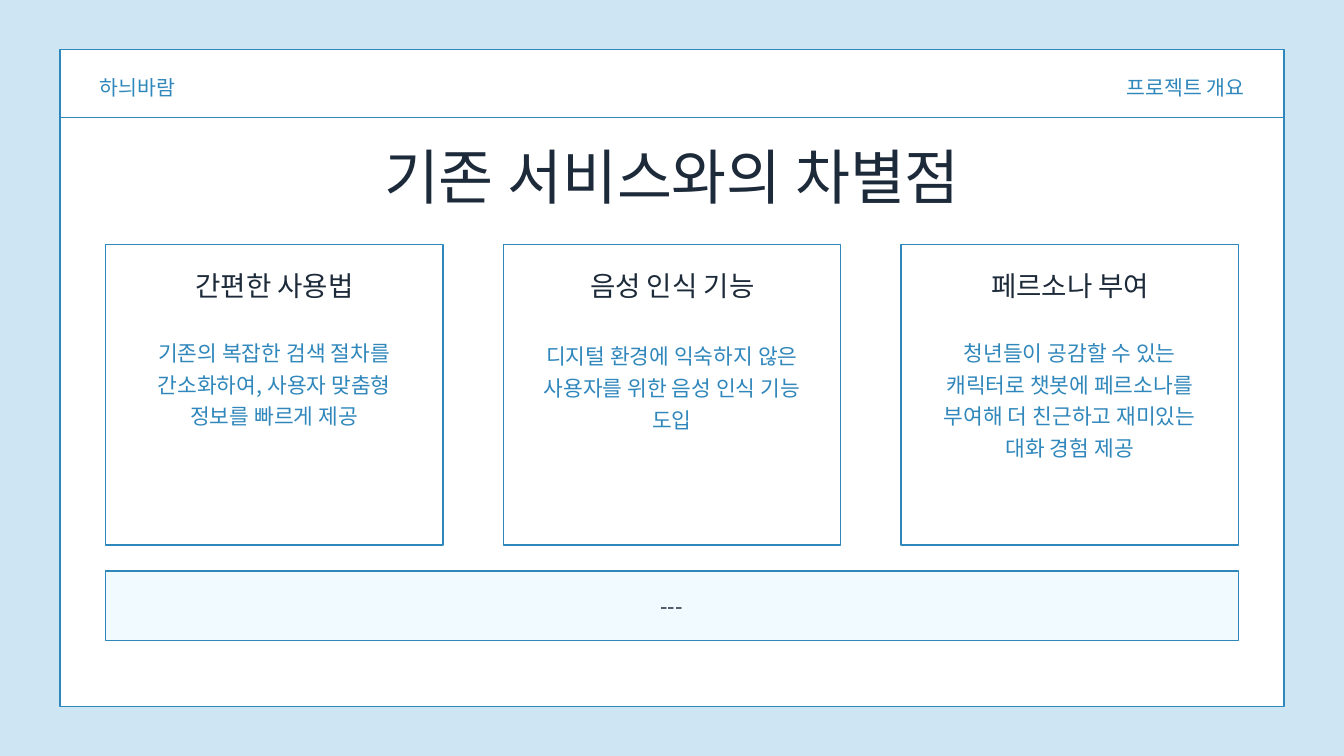
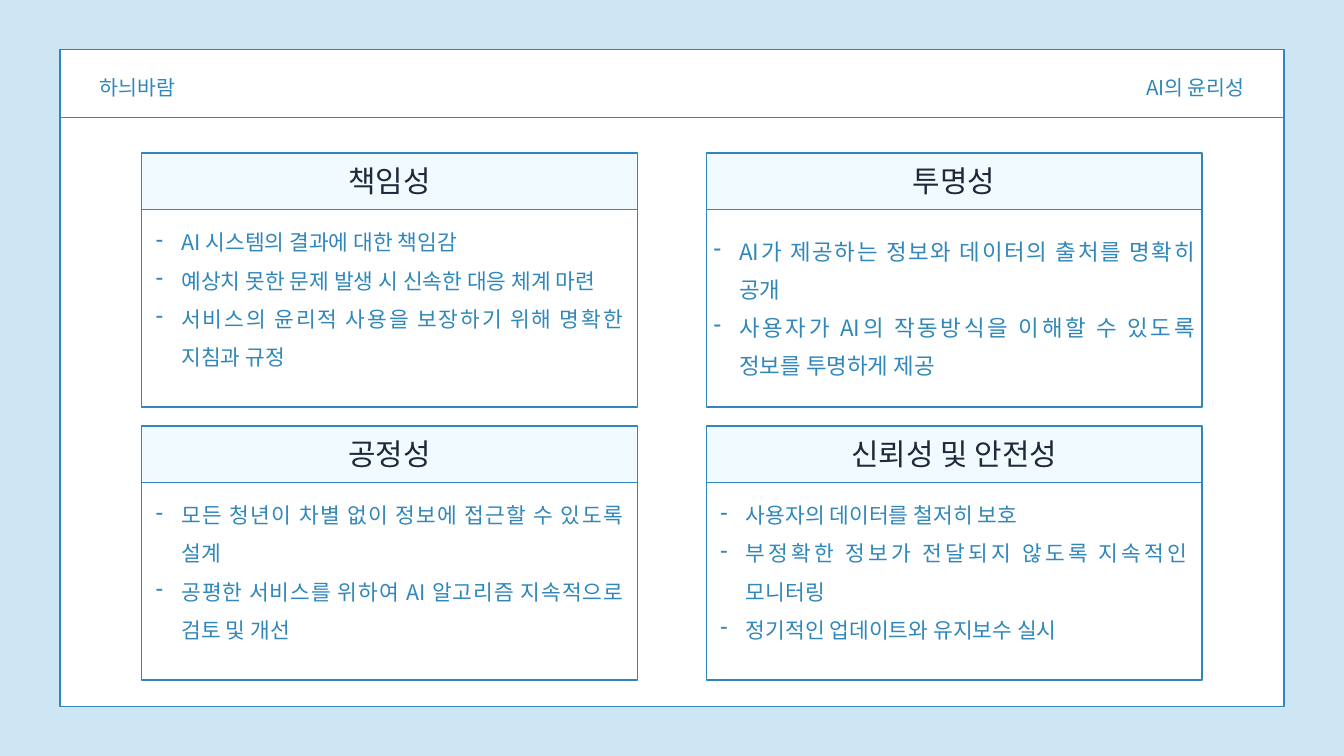
"""Build two slides on a chatbot service: its advantages and its AI ethics."""
from lxml.etree import SubElement
from pptx import Presentation
from pptx.dml.color import RGBColor
from pptx.enum.shapes import MSO_CONNECTOR, MSO_SHAPE
from pptx.enum.text import MSO_ANCHOR, MSO_AUTO_SIZE, PP_ALIGN
from pptx.oxml.ns import qn
from pptx.util import Inches, Pt

COLORS = {"sky": "CEE6F4", "white": "FFFFFF", "pale": "F1FAFF", "blue": "3087BB", "navy": "1D2A3A"}
FONT = "Noto Sans CJK KR"
BULLET_INDENT = Inches(0.38)


def add_panel(page, left, top, width, height, fill="white"):
    panel = page.shapes.add_shape(
        MSO_SHAPE.RECTANGLE, Inches(left), Inches(top), Inches(width), Inches(height))
    panel.shadow.inherit = False
    panel.fill.solid()
    panel.fill.fore_color.rgb = RGBColor.from_string(COLORS[fill])
    panel.line.color.rgb = RGBColor.from_string(COLORS["blue"])
    panel.line.width = Pt(1.5)


def add_text(page, place, lines, size, spacing, color="blue", align=PP_ALIGN.CENTER,
             bullets=False, inset=0, anchor=MSO_ANCHOR.TOP):
    box = page.shapes.add_textbox(*[Inches(length) for length in place])
    frame = box.text_frame
    frame.word_wrap = True
    frame.vertical_anchor = anchor
    frame.auto_size = MSO_AUTO_SIZE.NONE if inset else MSO_AUTO_SIZE.SHAPE_TO_FIT_TEXT
    frame.margin_left = frame.margin_right = Inches(inset)
    frame.margin_top = frame.margin_bottom = Inches(inset)
    frame.text = "\n".join(lines)
    for paragraph in frame.paragraphs:
        paragraph.alignment = align
        paragraph.line_spacing = Pt(spacing)
        properties = paragraph._p.get_or_add_pPr()
        if bullets:
            properties.set("marL", str(BULLET_INDENT))
            properties.set("indent", str(-BULLET_INDENT))
            SubElement(properties, qn("a:buChar"), char="-")
        paragraph.font.size = Pt(size)
        paragraph.font.color.rgb = RGBColor.from_string(COLORS[color])
        paragraph.font.name = FONT
        SubElement(properties.find(qn("a:defRPr")), qn("a:ea"), typeface=FONT)


deck = Presentation()
deck.slide_width = Inches(20)
deck.slide_height = Inches(11.25)

pages = []
for section in ["프로젝트 개요", "AI의 윤리성"]:
    page = deck.slides.add_slide(deck.slide_layouts[6])
    page.background.fill.solid()
    page.background.fill.fore_color.rgb = RGBColor.from_string(COLORS["sky"])
    add_panel(page, 0.89, 0.74, 18.22, 9.77)
    rule = page.shapes.add_connector(
        MSO_CONNECTOR.STRAIGHT, Inches(0.89), Inches(1.75), Inches(19.11), Inches(1.75))
    rule.line.color.rgb = RGBColor.from_string(COLORS["blue"])
    rule.line.width = Pt(1.5)
    SubElement(rule._element.spPr, qn("a:effectLst"))
    add_text(page, (1.48, 1.06, 3.22, 0.42), ["하늬바람"], 22, 30.8, align=PP_ALIGN.LEFT)
    add_text(page, (14.41, 1.06, 4.11, 0.42), [section], 22, 30.8, align=PP_ALIGN.RIGHT)
    pages.append(page)
overview, ethics = pages

add_text(overview, (5.44, 1.9, 9.12, 1.19), ["기존 서비스와의 차별점"], 64, 89.6, "navy")
add_panel(overview, 1.57, 8.5, 16.86, 1.03, "pale")
add_text(overview, (2.92, 8.74, 14.15, 0.45), ["---"], 23, 34, "navy")

advantages = [
    ("간편한 사용법", 4.97, 1.4, "기존의 복잡한 검색 절차를 간소화하여, 사용자 맞춤형 정보를 빠르게 제공"),
    ("음성 인식 기능", 5.02, 1.4, "디지털 환경에 익숙하지 않은 사용자를 위한 음성 인식 기능 도입"),
    ("페르소나 부여", 4.97, 1.88,
     "청년들이 공감할 수 있는 캐릭터로 챗봇에 페르소나를 부여해 더 친근하고 재미있는 대화 경험 제공"),
]
for column, (heading, body_top, body_height, body) in enumerate(advantages):
    left = 1.57 + 5.92 * column
    add_panel(overview, left, 3.64, 5.02, 4.47)
    add_text(overview, (left + 0.08, 3.99, 4.87, 0.5), [heading], 29.5, 35.9, "navy")
    add_text(overview, (left + 0.41, body_top, 4.2, body_height), [body], 23, 34)

principles = [
    ("책임성", 0.21, 0.95, 23, [
        "AI 시스템의 결과에 대한 책임감",
        "예상치 못한 문제 발생 시 신속한 대응 체계 마련",
        "서비스의 윤리적 사용을 보장하기 위해 명확한 지침과 규정"]),
    ("투명성", 0.11, 1.09, 24, [
        "AI가 제공하는 정보와 데이터의 출처를 명확히 공개",
        "사용자가 AI의 작동방식을 이해할 수 있도록 정보를 투명하게 제공"]),
    ("공정성", 0.21, 0.95, 23, [
        "모든 청년이 차별 없이 정보에 접근할 수 있도록 설계",
        "공평한 서비스를 위하여 AI 알고리즘 지속적으로 검토 및 개선"]),
    ("신뢰성 및 안전성", 0.21, 0.95, 23, [
        "사용자의 데이터를 철저히 보호",
        "부정확한 정보가 전달되지 않도록 지속적인 모니터링",
        "정기적인 업데이트와 유지보수 실시"]),
]
card_width = 7.38
for index, (heading, side_gap, body_drop, size, points) in enumerate(principles):
    row, column = divmod(index, 2)
    left, top = 2.11 + 8.4 * column, 2.28 + 4.06 * row
    add_panel(ethics, left, top + 0.75, card_width, 3.03)
    add_panel(ethics, left, top, card_width, 0.84, "pale")
    add_text(ethics, (left, top + 0.04, card_width, 0.81), [heading], 32, 33.6, "navy",
             inset=0.06, anchor=MSO_ANCHOR.MIDDLE)
    add_text(ethics, (left + side_gap, top + body_drop, card_width - 2 * side_gap, 2.25),
             points, size, 40.9, align=PP_ALIGN.JUSTIFY, bullets=True)

deck.save("out.pptx")
